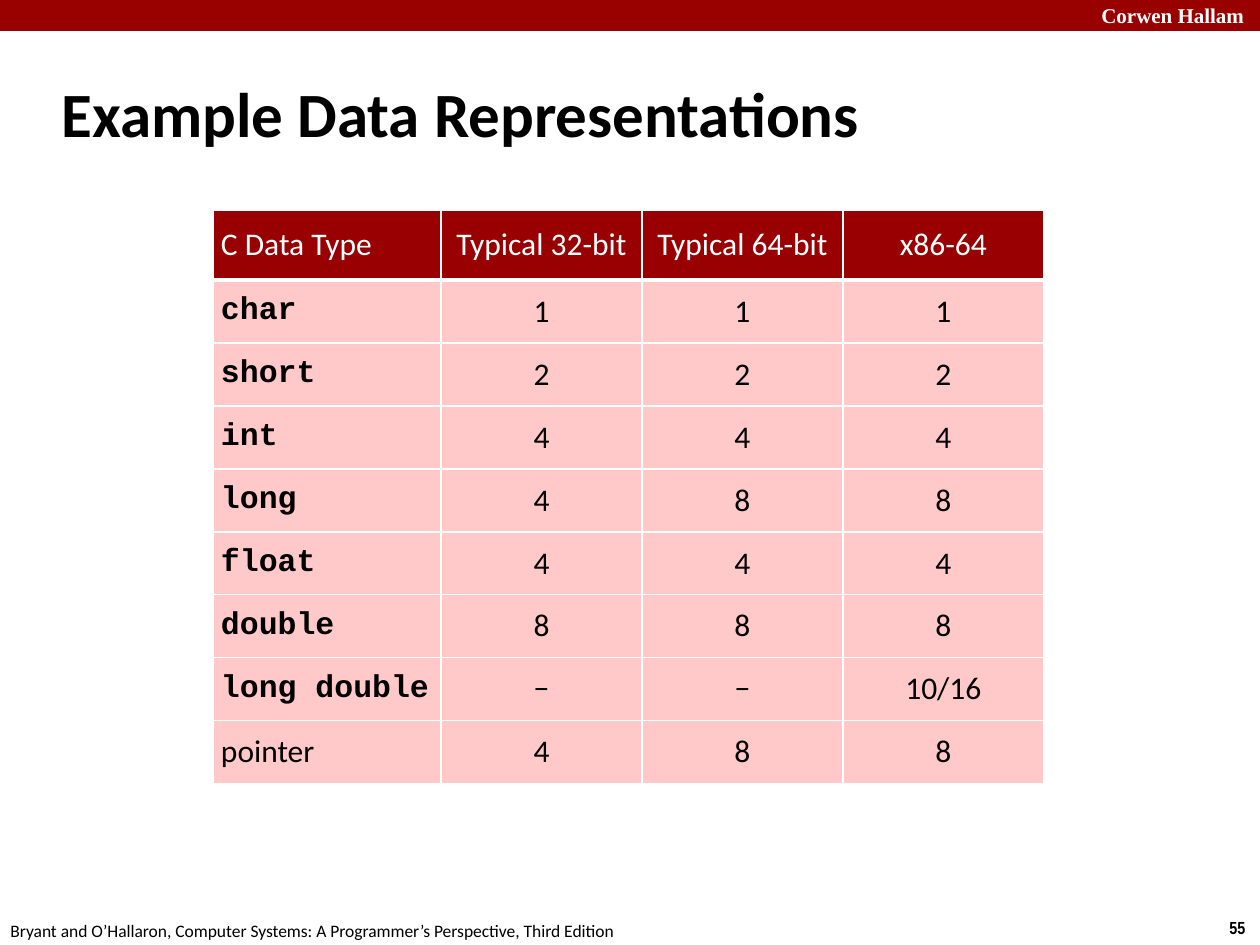
from lxml.etree import SubElement
from pptx import Presentation
from pptx.dml.color import RGBColor as Rgb
from pptx.enum.shapes import MSO_SHAPE as Shape
from pptx.enum.text import MSO_ANCHOR as Anchor, PP_ALIGN as Align
from pptx.oxml.ns import qn
from pptx.util import Pt

PX = 914400 // 126
COLORS = {"banner": "990000", "header": "980002", "body": "FFC8C9",
          "white": "FFFFFF", "black": "000000"}


def write(frame, text, color, **font_values):
    para = frame.paragraphs[0]
    span = para.add_run()
    span.text = text
    span.font.color.rgb = Rgb.from_string(COLORS[color])
    for name, value in font_values.items():
        setattr(span.font, name, value)
    return para


def set_borders(cell, widths):
    """Draw white cell borders; widths maps L, R, T, B to points."""
    properties = cell._tc.get_or_add_tcPr()
    for index, side in enumerate("LRTB"):
        line = SubElement(properties, qn(f"a:ln{side}"), w=str(Pt(widths[side])))
        fill = SubElement(line, qn("a:solidFill"))
        SubElement(fill, qn("a:srgbClr"), val=COLORS["white"])
        properties.insert(index, line)


deck = Presentation()
deck.slide_width, deck.slide_height = 1260 * PX, 945 * PX
page = deck.slides.add_slide(deck.slide_layouts[6])

banner = page.shapes.add_shape(Shape.RECTANGLE, 0, 0, 1260 * PX, 31 * PX)
banner.shadow.inherit = False
banner.fill.solid()
banner.fill.fore_color.rgb = Rgb.from_string(COLORS["banner"])
banner.line.fill.background()

# Text, position in px, wrap, anchor, colour, font
labels = [
    ("Corwen Hallam", (1089, -4, 180, 38), True, Anchor.TOP, "white",
     {"name": "Times New Roman", "size": Pt(12), "bold": True}),
    ("55", (1217, 911, 43, 34), False, Anchor.TOP, "black",
     {"name": "Arial Narrow", "size": Pt(10), "bold": True}),
    ("Bryant and O’Hallaron, Computer Systems: A Programmer’s Perspective, Third Edition",
     (-2, 914, 640, 34), False, Anchor.TOP, "black",
     {"name": "Calibri", "size": Pt(10)}),
    ("Example Data Representations", (49, 60, 1047, 105), True, Anchor.MIDDLE, "black",
     {"name": "Calibri", "size": Pt(36), "bold": True}),
]
for text, place, wrap, anchor, color, font_values in labels:
    box = page.shapes.add_textbox(*(length * PX for length in place))
    box.text_frame.word_wrap = wrap
    box.text_frame.vertical_anchor = anchor
    write(box.text_frame, text, color, **font_values)

rows = [
    ("C Data Type", "Typical 32-bit", "Typical 64-bit", "x86-64"),
    ("char", "1", "1", "1"),
    ("short", "2", "2", "2"),
    ("int", "4", "4", "4"),
    ("long", "4", "8", "8"),
    ("float", "4", "4", "4"),
    ("double", "8", "8", "8"),
    ("long double", "−", "−", "10/16"),
    ("pointer", "4", "8", "8"),
]
column_widths = [228, 201, 201, 201]
row_heights = [70] + [63] * (len(rows) - 1)
table = page.shapes.add_table(
    len(rows), len(column_widths), 213 * PX, 210 * PX,
    sum(column_widths) * PX, sum(row_heights) * PX).table
for column, width in zip(table.columns, column_widths):
    column.width = width * PX
for row, height in zip(table.rows, row_heights):
    row.height = height * PX

cell_format = {"vertical_anchor": Anchor.MIDDLE, "margin_left": 8 * PX,
               "margin_right": 8 * PX, "margin_top": 8 * PX, "margin_bottom": 8 * PX}
for r, values in enumerate(rows):
    for c, text in enumerate(values):
        cell = table.cell(r, c)
        for name, value in cell_format.items():
            setattr(cell, name, value)
        cell.fill.solid()
        cell.fill.fore_color.rgb = Rgb.from_string(COLORS["body" if r else "header"])
        set_borders(cell, {"L": 1, "R": 1, "T": 3 if r == 1 else 1, "B": 1 if r else 3})
        is_code = c == 0 and r > 0 and text != "pointer"
        para = write(cell.text_frame, text, "black" if r else "white", size=Pt(18),
                     name="Courier New" if is_code else "Calibri", bold=is_code)
        para.alignment = Align.CENTER if c else Align.LEFT

deck.save("out.pptx")
